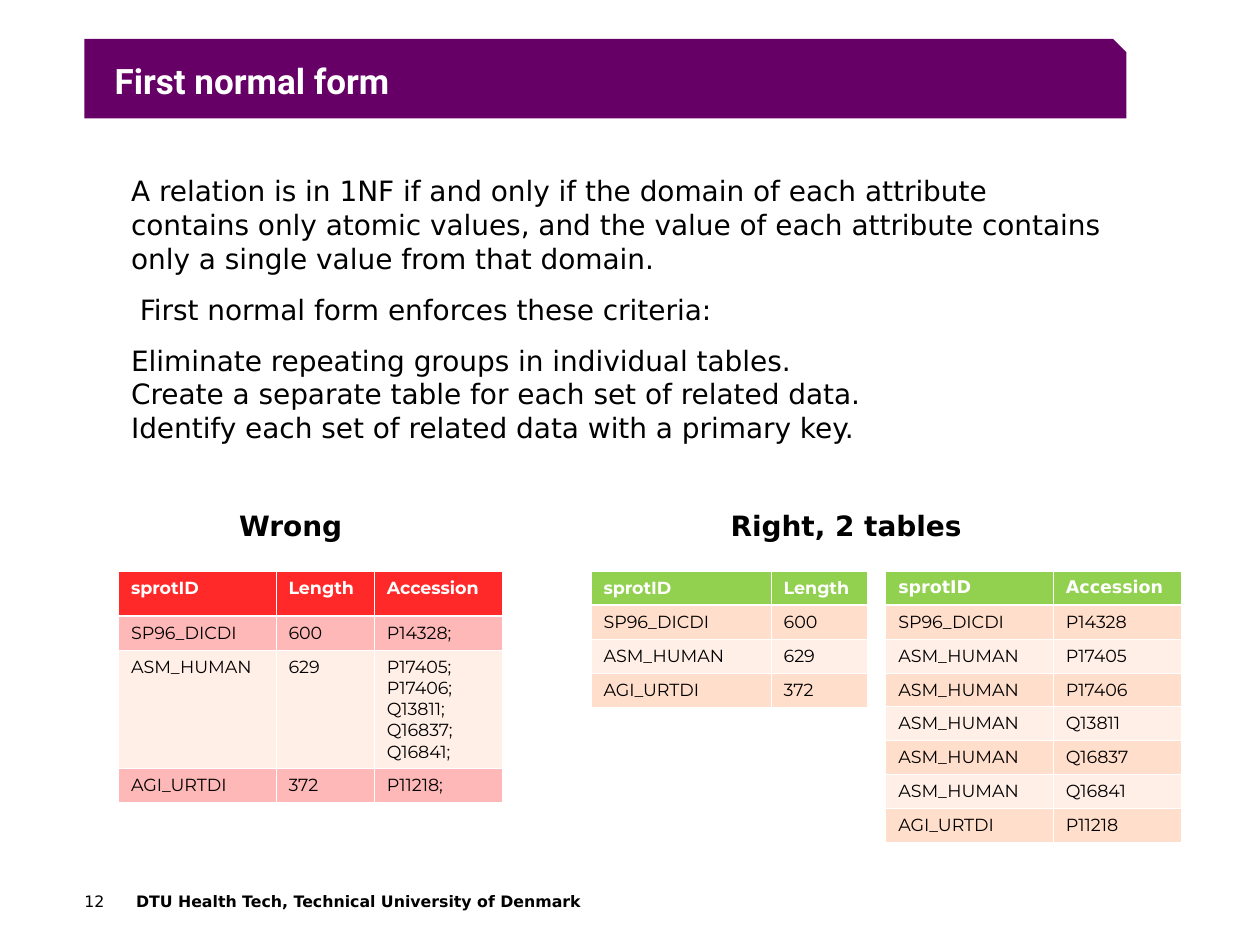
from lxml import etree
from pptx import Presentation, util as u
from pptx.dml.color import RGBColor
from pptx.enum import text as t
from pptx.oxml.ns import qn

HUES = {"plum": "660066", "white": "FFFFFF", "ink": "000000", "red": "FF2929",
        "rose": "FFB8B8", "green": "92D050", "peach": "FFDECB", "pale": "FFEFE7"}
SANS, MONT, HEAD = "DejaVu Sans", "Montserrat", "Roboto"
BODY = [
    ("A relation is in 1NF if and only if the domain of each attribute contains only "
     "atomic values, and the value of each attribute contains only a single value "
     "from that domain.", 0),
    (" First normal form enforces these criteria:", 10),
    ("Eliminate repeating groups in individual tables.", 10),
    ("Create a separate table for each set of related data.", 0),
    ("Identify each set of related data with a primary key.", 0),
]
SIZES = [("SP96_DICDI", "600"), ("ASM_HUMAN", "629"), ("AGI_URTDI", "372")]
CODES = [["P14328"], ["P17405", "P17406", "Q13811", "Q16837", "Q16841"], ["P11218"]]


def grid(n):
    """Turn grid steps, 100 columns by 75 rows, into a length."""
    return u.Inches(n / 10)


def hue(key):
    """Look up a named colour."""
    return RGBColor.from_string(HUES[key])


def place(shape, box):
    """Move and size a shape to a box of grid steps."""
    shape.left, shape.top, shape.width, shape.height = map(grid, box)


def write(para, words, size, font=SANS, color="ink", bold=False):
    """Add one formatted run to a paragraph."""
    run = para.add_run()
    run.text = words
    run.font.size, run.font.name, run.font.bold = u.Pt(size), font, bold
    run.font.color.rgb = hue(color)


def setup(frame, pad=True, anchor=t.MSO_ANCHOR.TOP):
    """Set the wrap, margins and anchor of a text frame."""
    frame.word_wrap, frame.auto_size = True, t.MSO_AUTO_SIZE.NONE
    frame.vertical_anchor = anchor
    frame.margin_left = frame.margin_right = u.Inches(0.1 if pad else 0)
    frame.margin_top = frame.margin_bottom = u.Inches(0.05 if pad else 0)


def label(slide, box, words, size, bold=False, pad=True):
    """Place a single line of text."""
    frame = slide.shapes.add_textbox(*map(grid, box)).text_frame
    setup(frame, pad)
    frame.word_wrap = False
    write(frame.paragraphs[0], words, size, bold=bold)


def banner(slide, box):
    """Draw the clipped band and set the title on it."""
    x, y, w, h = box
    cut = 1.05
    form = slide.shapes.build_freeform(grid(x), grid(y))
    form.add_line_segments([(grid(a), grid(b)) for a, b in (
        (x + w - cut, y), (x + w, y + cut), (x + w, y + h), (x, y + h))], close=True)
    band = form.convert_to_shape()
    band.shadow.inherit = False
    band.fill.solid()
    band.fill.fore_color.rgb = hue("plum")
    band.line.fill.background()
    title = slide.shapes.title
    title.element.addprevious(band.element)
    place(title, (x + 2.4, y - 0.1, 85, 5.1))
    setup(title.text_frame, False, t.MSO_ANCHOR.BOTTOM)
    para = title.text_frame.paragraphs[0]
    para.alignment = t.PP_ALIGN.LEFT
    write(para, "First normal form", 20, HEAD, "white", True)


def prose(slide, box):
    """Fill the body placeholder with plain paragraphs."""
    body = slide.placeholders[1]
    place(body, box)
    frame = body.text_frame
    setup(frame)
    for i, (words, gap) in enumerate(BODY):
        para = frame.add_paragraph() if i else frame.paragraphs[0]
        props = para._p.get_or_add_pPr()
        props.set("marL", "0")
        props.set("indent", "0")
        etree.SubElement(props, qn("a:buNone"))
        para.space_before = u.Pt(gap)
        write(para, words, 16)


def edge(cell, row):
    """Rule a cell in white, thicker under the header row."""
    props = cell._tc.get_or_add_tcPr()
    for i, side in enumerate("LRTB"):
        thick = (row, side) in ((0, "B"), (1, "T"))
        line = etree.Element(qn("a:ln" + side), w=str(u.Pt(1.47 if thick else 0.45)))
        fill = etree.SubElement(line, qn("a:solidFill"))
        etree.SubElement(fill, qn("a:srgbClr"), val=HUES["white"])
        props.insert(i, line)


def chart(slide, spot, cols, rows, data, tones, font=MONT):
    """Build a banded table whose first row is the header."""
    box = (*spot, sum(cols), sum(rows))
    table = slide.shapes.add_table(len(rows), len(cols), *map(grid, box)).table
    table.horz_banding = False
    for col, wide in zip(table.columns, cols):
        col.width = grid(wide)
    for r, (row, high) in enumerate(zip(table.rows, rows)):
        row.height = grid(high)
        tone = tones[0] if r == 0 else tones[1] if r % 2 else "pale"
        for cell, words in zip(row.cells, data[r]):
            cell.fill.solid()
            cell.fill.fore_color.rgb = hue(tone)
            edge(cell, r)
            look = (font, "white", True) if r == 0 else (MONT, "ink", False)
            write(cell.text_frame.paragraphs[0], words, 10, *look)


def tables(slide, top):
    """Set the wrong table beside the two right ones."""
    row = 2.68
    wrong = [(*pair, " ".join(c + ";" for c in codes)) for pair, codes in zip(SIZES, CODES)]
    links = [(name, c) for (name, _), codes in zip(SIZES, CODES) for c in codes]
    chart(slide, (9.4, top), (12.5, 7.8, 10.2), (3.55, row, 9.38, row),
          [("sprotID", "Length", "Accession")] + wrong, ("red", "rose"))
    chart(slide, (46.9, top), (14.3, 7.6), [row] * 4,
          [("sprotID", "Length")] + SIZES, ("green", "peach"))
    chart(slide, (70.3, top), (13.3, 10.2), [row] * 8,
          [("sprotID", "Accession")] + links, ("green", "peach"), SANS)
    label(slide, (18, top - 5.5, 11.7, 3.7), "Wrong", 16, True)
    label(slide, (57, top - 5.5, 20.4, 3.7), "Right, 2 tables", 16, True)


def footer(slide, top):
    """Set the page number and the department name."""
    label(slide, (6.7, top, 3.3, 3.3), "12", 9, pad=False)
    label(slide, (10.8, top, 40.4, 3.3),
          "DTU Health Tech, Technical University of Denmark", 9, True, False)


def main():
    """Build and save the slide."""
    deck = Presentation()
    deck.slide_width, deck.slide_height = grid(100), grid(75)
    slide = deck.slides.add_slide(deck.slide_layouts[1])
    banner(slide, (6.7, 3.1, 82.7, 6.3))
    prose(slide, (9.4, 13.3, 79.7, 26.5))
    tables(slide, 45.35)
    footer(slide, 70.8)
    deck.save("out.pptx")


if __name__ == "__main__":
    main()
